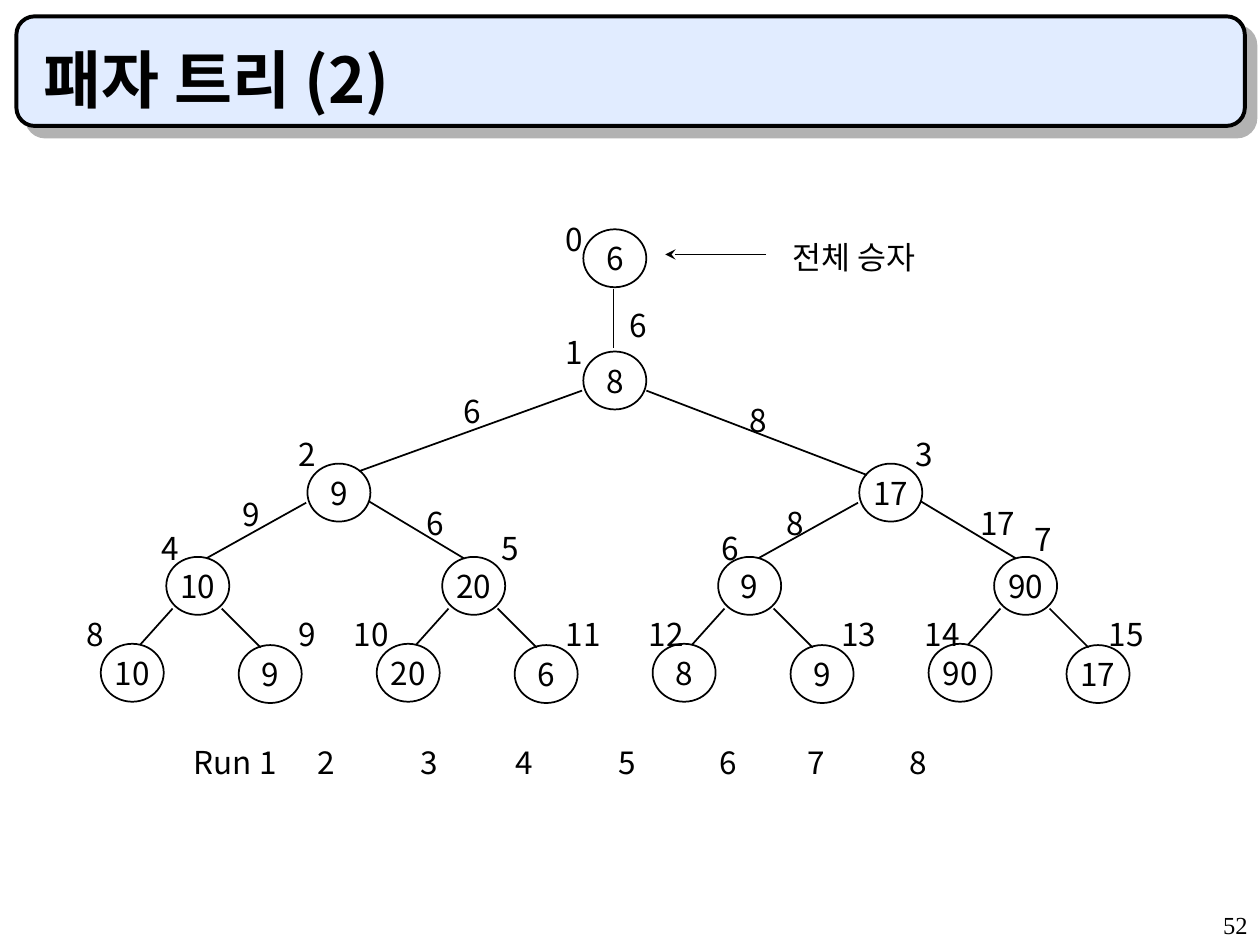
from dataclasses import dataclass

from lxml.etree import SubElement as Sub
from pptx import Presentation
from pptx.dml.color import RGBColor as Rgb
from pptx.enum.shapes import MSO_CONNECTOR as Link, MSO_SHAPE as Kind
from pptx.enum.text import MSO_ANCHOR as Anchor, MSO_AUTO_SIZE as Auto, PP_ALIGN as Align
from pptx.oxml.ns import qn
from pptx.util import Inches, Pt


@dataclass(frozen=True)
class Theme:
    ink: Rgb = Rgb(0x00, 0x00, 0x00)
    fill: Rgb = Rgb(0xE1, 0xEC, 0xFF)
    shade: str = "B2B2B2"
    font: str = "Noto Sans CJK KR"
    serif: str = "Times New Roman"
    title: int = 36
    body: int = 18
    page: int = 14
    thin: float = 1
    thick: float = 2.25


LOOK = Theme()

TREE = [
    (4.63, 0, 1.82, 0, "6"),
    (4.63, 0, 2.79, 0, "8"),
    (2.44, 4.38, 3.68, 0, "9 17"),
    (1.32, 2.19, 4.42, 0, "10 20 9 90"),
    (0.8, 1.095, 5.11, 0.01, "10 9 20 6 8 9 90 17"),
]

EDGES = [
    (4.63, 0, 1, [(-0.01, 3.1, -1.78, 3.74), (0.5, 3.1, 2.25, 3.77)]),
    (2.44, 4.38, 2, [(-0.01, 3.99, -0.8, 4.43), (0.49, 3.98, 1.24, 4.43)]),
    (1.32, 2.19, 4, [(0.05, 4.83, -0.21, 5.12), (0.44, 4.83, 0.75, 5.14)]),
]

INDEX = [
    (4.39, 1.7), (4.39, 2.59), (2.27, 3.4), (7.17, 3.4),
    (1.18, 4.15), (3.88, 4.15), (5.63, 4.15), (8.11, 4.08),
    (0.59, 4.83), (2.27, 4.83), (2.71, 4.83), (4.39, 4.83),
    (5.05, 4.83), (6.58, 4.83), (7.24, 4.83), (8.7, 4.83),
]

WINS = [
    ("6", 4.9, 2.38), ("6", 3.58, 3.06), ("8", 5.85, 3.13), ("9", 1.83, 3.88),
    ("6", 3.29, 3.95), ("8", 6.14, 3.95), ("17", 7.68, 3.95),
]

STOPS = [0.98, 1.8, 2.55, 3.37, 4.17, 4.87, 5.68]


def write(frame, text, size=LOOK.body, name=LOOK.font, align=Align.LEFT, bold=False):
    para = frame.paragraphs[0]
    para.text = text
    para.alignment = align
    font = para.font
    font.size = Pt(size)
    font.bold = bold
    font.color.rgb = LOOK.ink
    font.name = name
    Sub(para._p.pPr.find(qn("a:defRPr")), qn("a:ea"), typeface=name)


def add_text(slide, text, x, y, wide, high=0.4, wrap=False, **style):
    box = slide.shapes.add_textbox(Inches(x), Inches(y), Inches(wide), Inches(high))
    frame = box.text_frame
    frame.word_wrap = wrap
    frame.auto_size = Auto.NONE if wrap else Auto.SHAPE_TO_FIT_TEXT
    write(frame, text, **style)
    return frame


def add_label(slide, text, x, y):
    add_text(slide, text, x, y, 0.35 if len(text) == 1 else 0.49)


def add_node(slide, text, x, y):
    node = slide.shapes.add_shape(Kind.OVAL, Inches(x), Inches(y), Inches(0.5), Inches(0.46))
    node.shadow.inherit = False
    node.fill.background()
    node.line.color.rgb = LOOK.ink
    node.line.width = Pt(LOOK.thin)
    frame = node.text_frame
    frame.word_wrap = False
    frame.vertical_anchor = Anchor.MIDDLE
    write(frame, text, align=Align.CENTER)


def add_line(slide, *ends, arrow=False):
    line = slide.shapes.add_connector(Link.STRAIGHT, *map(Inches, ends))
    line.line.color.rgb = LOOK.ink
    line.line.width = Pt(LOOK.thin)
    if arrow:
        Sub(line.line._get_or_add_ln(), qn("a:tailEnd"), type="stealth")
    Sub(line._element.spPr, qn("a:effectLst"))


def add_title(slide, text):
    bar = slide.shapes.add_shape(
        Kind.ROUNDED_RECTANGLE, Inches(0.13), Inches(0.13), Inches(9.75), Inches(0.87))
    bar.adjustments[0] = 0.167
    bar.fill.solid()
    bar.fill.fore_color.rgb = LOOK.fill
    bar.line.color.rgb = LOOK.ink
    bar.line.width = Pt(LOOK.thick)
    bar.shadow.inherit = False
    effect = bar._element.spPr.find(qn("a:effectLst"))
    shade = Sub(effect, qn("a:outerShdw"), dist=str(Pt(8.5)), dir="2700000",
                algn="ctr", rotWithShape="0")
    Sub(shade, qn("a:srgbClr"), val=LOOK.shade)
    frame = add_text(slide, text, 0.25, 0.25, 9.42, 0.67, True, size=LOOK.title, bold=True)
    frame.vertical_anchor = Anchor.BOTTOM
    frame.margin_top = frame.margin_bottom = 0


def add_tree(slide):
    for left, gap, top, drop, keys in TREE:
        for i, key in enumerate(keys.split()):
            add_node(slide, key, left + i * gap, top + i % 2 * drop)
    for left, gap, count, pair in EDGES:
        for i in range(count):
            x = left + i * gap
            for x1, y1, x2, y2 in pair:
                add_line(slide, x + x1, y1, x + x2, y2)
    add_line(slide, 4.87, 2.29, 4.87, 2.76)
    for i, spot in enumerate(INDEX):
        add_label(slide, str(i), *spot)
    for win in WINS:
        add_label(slide, *win)


def add_runs(slide):
    text = "\t".join(["Run 1", *"2345678"])
    frame = add_text(slide, text, 1.44, 5.85, 6.82, wrap=True)
    props = frame.paragraphs[0]._p.pPr
    tabs = props.makeelement(qn("a:tabLst"))
    props.find(qn("a:defRPr")).addprevious(tabs)
    for stop in STOPS:
        Sub(tabs, qn("a:tab"), pos=str(Inches(stop)), algn="l")


def main():
    deck = Presentation()
    deck.slide_width, deck.slide_height = Inches(10), Inches(7.5)
    slide = deck.slides.add_slide(deck.slide_layouts[6])
    add_title(slide, "패자 트리 (2)")
    add_tree(slide)
    add_line(slide, 6.08, 2.02, 5.28, 2.02, arrow=True)
    add_text(slide, "전체 승자", 6.19, 1.84, 1.19)
    add_runs(slide)
    add_text(slide, "52", 7.92, 7.17, 2.08, 0.33, True,
             size=LOOK.page, name=LOOK.serif, align=Align.RIGHT)
    deck.save("out.pptx")


if __name__ == "__main__":
    main()
